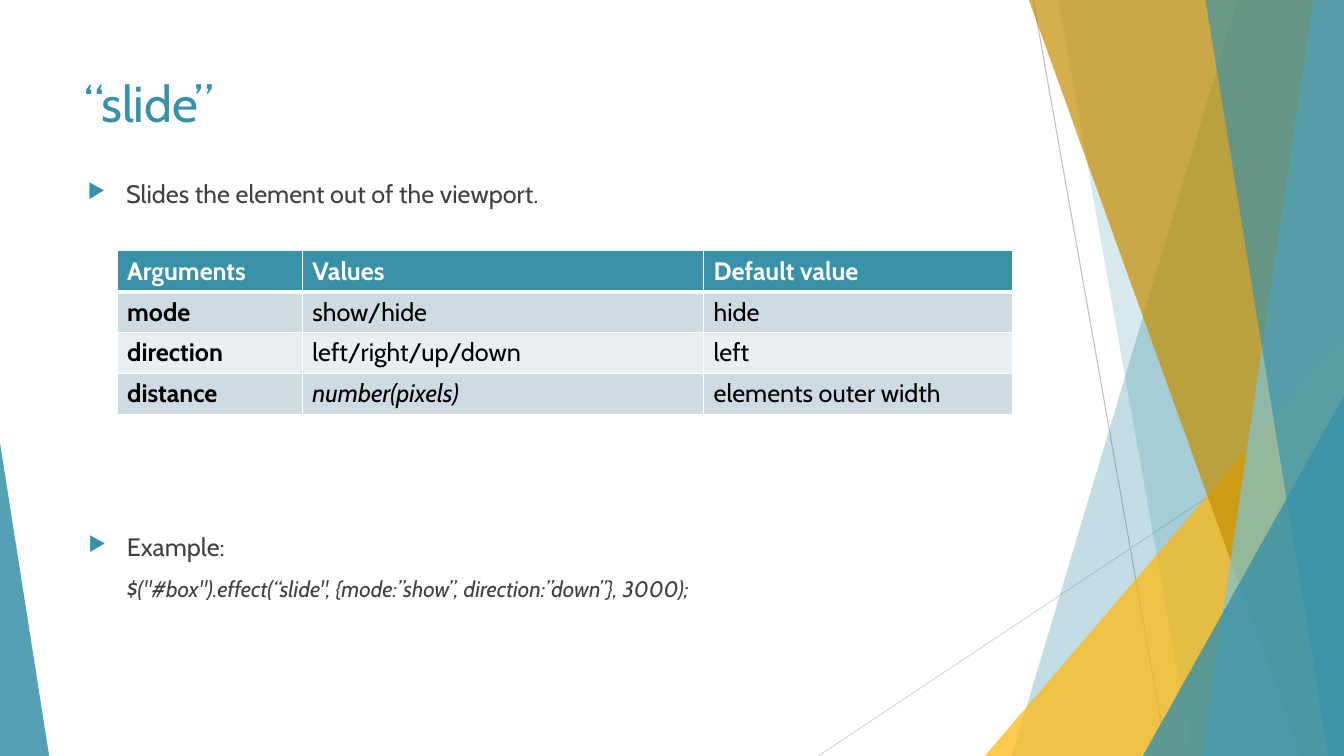
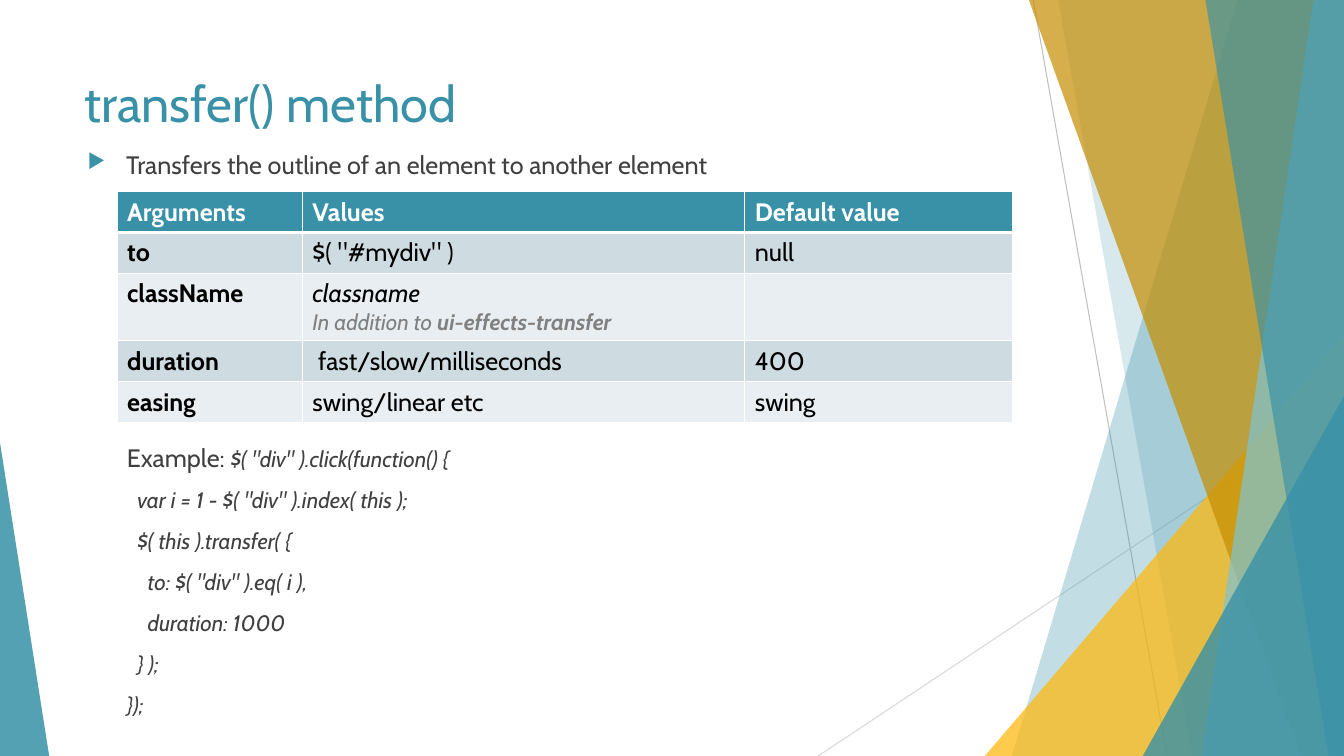
from dataclasses import dataclass

from lxml import etree
from pptx import Presentation
from pptx.dml.color import RGBColor
from pptx.enum.shapes import MSO_CONNECTOR, MSO_SHAPE
from pptx.oxml.ns import qn
from pptx.slide import Slide
from pptx.table import _Cell
from pptx.text.text import TextFrame
from pptx.util import Cm, Pt

STRAIGHT = MSO_CONNECTOR.STRAIGHT
TRIANGLE = MSO_SHAPE.ISOSCELES_TRIANGLE

COLOURS = {
    "teal": "3891A7",
    "sky": "7EC3D4",
    "yellow": "FEB80A",
    "ochre": "C58D01",
    "white": "FFFFFF",
    "black": "000000",
    "body": "404040",
    "note": "808080",
    "row_dark": "CEDCE1",
    "row_light": "E8EEF1",
    "line_dark": "BFBFBF",
    "line_light": "D9D9D9",
}
FONT = "Cabin"
SLIDE_W, SLIDE_H = 33.87, 19.05
TEXT_W = 23.88
HANG = 0.97
CODE_STEP = 0.26
TABLE_LEFT = 2.95
ROW_H = 1.03


@dataclass(frozen=True)
class Run:
    text: str
    size: int = 18
    colour: str = "body"
    bold: bool = False
    italic: bool = False


@dataclass(frozen=True)
class Line:
    runs: tuple[Run, ...]
    margin: float = 0
    bullet: bool = False


@dataclass(frozen=True)
class Ray:
    start: tuple[float, float]
    end: tuple[float, float]
    colour: str


@dataclass(frozen=True)
class Band:
    top_x: float
    bottom_x: float
    colour: str
    alpha: int


@dataclass(frozen=True)
class Wedge:
    left: float
    top: float
    width: float
    apex: int
    colour: str
    alpha: int


@dataclass(frozen=True)
class ArgumentTable:
    top: float
    widths: tuple[float, ...]
    heights: tuple[float, ...]
    rows: tuple[tuple[tuple[Line, ...], ...], ...]


RAYS = (
    Ray((26.04, 0), (29.41, SLIDE_H), "line_dark"),
    Ray((SLIDE_W, 10.24), (20.62, SLIDE_H), "line_light"),
)
FACETS = (
    Band(31.19, 25.5, "teal", 30),
    Band(26.67, 30.05, "teal", 20),
    Wedge(24.82, 8.46, SLIDE_W - 24.82, 1, "yellow", 72),
    Band(25.93, 32.79, "ochre", 70),
    Band(33.1, 30.28, "sky", 70),
    Band(30.38, 33.48, "teal", 65),
    Wedge(28.8, 9.98, SLIDE_W - 28.8, 1, "teal", 80),
    Wedge(0, 11.15, 1.24, 0, "teal", 85),
)


def rgb(name: str) -> RGBColor:
    return RGBColor.from_string(COLOURS[name])


def draw_ray(slide: Slide, ray: Ray) -> None:
    ends = (Cm(value) for value in ray.start + ray.end)
    connector = slide.shapes.add_connector(STRAIGHT, *ends)
    connector.line.color.rgb = rgb(ray.colour)
    connector.line.width = Pt(0.75)
    etree.SubElement(connector._element.spPr, qn("a:effectLst"))


def draw_facet(slide: Slide, facet: Band | Wedge) -> None:
    if isinstance(facet, Band):
        builder = slide.shapes.build_freeform(Cm(facet.top_x), 0)
        corners = ((SLIDE_W, 0), (SLIDE_W, SLIDE_H), (facet.bottom_x, SLIDE_H))
        builder.add_line_segments([(Cm(x), Cm(y)) for x, y in corners], close=True)
        shape = builder.convert_to_shape()
    else:
        shape = slide.shapes.add_shape(
            TRIANGLE, Cm(facet.left), Cm(facet.top),
            Cm(facet.width), Cm(SLIDE_H - facet.top),
        )
        shape.adjustments[0] = facet.apex
    shape.shadow.inherit = False
    shape.line.fill.background()
    shape.fill.solid()
    shape.fill.fore_color.rgb = rgb(facet.colour)
    colour = shape._element.spPr.find(qn("a:solidFill"))[0]
    etree.SubElement(colour, qn("a:alpha"), val=str(facet.alpha * 1000))


def write_lines(frame: TextFrame, lines: tuple[Line, ...], gap: int = 0) -> None:
    for index, line in enumerate(lines):
        paragraph = frame.add_paragraph() if index else frame.paragraphs[0]
        paragraph.space_before = Pt(gap)
        properties = paragraph._p.get_or_add_pPr()
        properties.set("marL", str(Cm(line.margin)))
        properties.set("indent", str(-Cm(line.margin) if line.bullet else 0))
        if line.bullet:
            tint = etree.SubElement(properties, qn("a:buClr"))
            etree.SubElement(tint, qn("a:srgbClr"), val=COLOURS["teal"])
            etree.SubElement(properties, qn("a:buSzPct"), val="80000")
            etree.SubElement(properties, qn("a:buChar"), char="▶")
        for part in line.runs:
            run = paragraph.add_run()
            run.text = part.text
            run.font.name = FONT
            run.font.size = Pt(part.size)
            run.font.bold = part.bold
            run.font.italic = part.italic
            run.font.color.rgb = rgb(part.colour)


def add_text(slide: Slide, left: float, top: float, height: float,
             lines: tuple[Line, ...], gap: int = 10) -> None:
    box = slide.shapes.add_textbox(Cm(left), Cm(top), Cm(TEXT_W), Cm(height))
    box.text_frame.word_wrap = True
    write_lines(box.text_frame, lines, gap)


def add_borders(cell: _Cell, top: int, bottom: int) -> None:
    properties = cell._tc.get_or_add_tcPr()
    sides = (("lnL", 1), ("lnR", 1), ("lnT", top), ("lnB", bottom))
    for position, (side, width) in enumerate(sides):
        border = etree.Element(qn(f"a:{side}"), w=str(Pt(width)))
        fill = etree.SubElement(border, qn("a:solidFill"))
        etree.SubElement(fill, qn("a:srgbClr"), val=COLOURS["white"])
        properties.insert(position, border)


def add_arguments(slide: Slide, spec_table: ArgumentTable) -> None:
    header = tuple(
        (Line((Run(label, colour="white", bold=True),)),)
        for label in ("Arguments", "Values", "Default value")
    )
    rows = (header,) + spec_table.rows
    table = slide.shapes.add_table(
        len(rows), len(header), Cm(TABLE_LEFT), Cm(spec_table.top),
        Cm(sum(spec_table.widths)), Cm(sum(spec_table.heights)),
    ).table
    for column, width in zip(table.columns, spec_table.widths):
        column.width = Cm(width)
    for row, height in zip(table.rows, spec_table.heights):
        row.height = Cm(height)
    for r, row in enumerate(rows):
        shade = "teal" if r == 0 else "row_dark" if r % 2 else "row_light"
        for c, lines in enumerate(row):
            cell = table.cell(r, c)
            cell.fill.solid()
            cell.fill.fore_color.rgb = rgb(shade)
            add_borders(cell, 3 if r == 1 else 1, 3 if r == 0 else 1)
            write_lines(cell.text_frame, lines)


def entry(text: str, bold: bool = False, italic: bool = False) -> tuple[Line, ...]:
    return (Line((Run(text, colour="black", bold=bold, italic=italic),)),)


def code(text: str) -> Run:
    return Run(text, size=16, italic=True)


def bullet(text: str) -> Line:
    return Line((Run(text),), HANG, True)


def start_slide(deck: Presentation, title: str) -> Slide:
    slide = deck.slides.add_slide(deck.slide_layouts[6])
    for ray in RAYS:
        draw_ray(slide, ray)
    for facet in FACETS:
        draw_facet(slide, facet)
    add_text(slide, 1.88, 1.7, 1.8, (Line((Run(title, 36, "teal"),)),), 0)
    return slide


def build_slide_effect(deck: Presentation) -> None:
    slide = start_slide(deck, "“slide”")
    add_text(slide, 1.96, 4.37, 1.1, (bullet("Slides the element out of the viewport."),))
    add_arguments(slide, ArgumentTable(
        6.32, (4.67, 10.11, 7.8), (ROW_H,) * 4,
        (
            (entry("mode", bold=True), entry("show/hide"), entry("hide")),
            (entry("direction", bold=True), entry("left/right/up/down"), entry("left")),
            (entry("distance", bold=True), entry("number(pixels)", italic=True),
             entry("elements outer width")),
        ),
    ))
    call = "$(\"#box\").effect(“slide\", {mode:”show”, direction:”down”}, 3000);"
    add_text(slide, 1.98, 13.26, 2.2, (bullet("Example:"), Line((code(call),), HANG)))


def build_transfer_method(deck: Presentation) -> None:
    slide = start_slide(deck, "transfer() method")
    add_text(slide, 1.96, 3.63, 1.1,
             (bullet("Transfers the outline of an element to another element"),))
    class_note = Line((
        Run("In addition to ", 16, "note", italic=True),
        Run("ui-effects-transfer", 16, "note", bold=True, italic=True),
    ))
    add_arguments(slide, ArgumentTable(
        4.83, (4.67, 11.15, 6.76), (ROW_H, ROW_H, 1.7, ROW_H, ROW_H),
        (
            (entry("to", bold=True), entry("$( \"#mydiv\" )"), entry("null")),
            (entry("className", bold=True),
             entry("classname", italic=True) + (class_note,), ()),
            (entry("duration", bold=True), entry(" fast/slow/milliseconds"), entry("400")),
            (entry("easing", bold=True), entry("swing/linear etc"), entry("swing")),
        ),
    ))
    opening = Line((Run("Example: "), code("$( \"div\" ).click(function() {")))
    nested = (
        (1, "var i = 1 - $( \"div\" ).index( this );"),
        (1, "$( this ).transfer( {"),
        (2, "to: $( \"div\" ).eq( i ),"),
        (2, "duration: 1000"),
        (1, "} );"),
        (0, "});"),
    )
    listing = tuple(Line((code(text),), depth * CODE_STEP) for depth, text in nested)
    add_text(slide, TABLE_LEFT, 11.02, 7, (opening,) + listing)


def main() -> None:
    deck = Presentation()
    deck.slide_width, deck.slide_height = Cm(SLIDE_W), Cm(SLIDE_H)
    build_slide_effect(deck)
    build_transfer_method(deck)
    deck.save("out.pptx")


if __name__ == "__main__":
    main()
